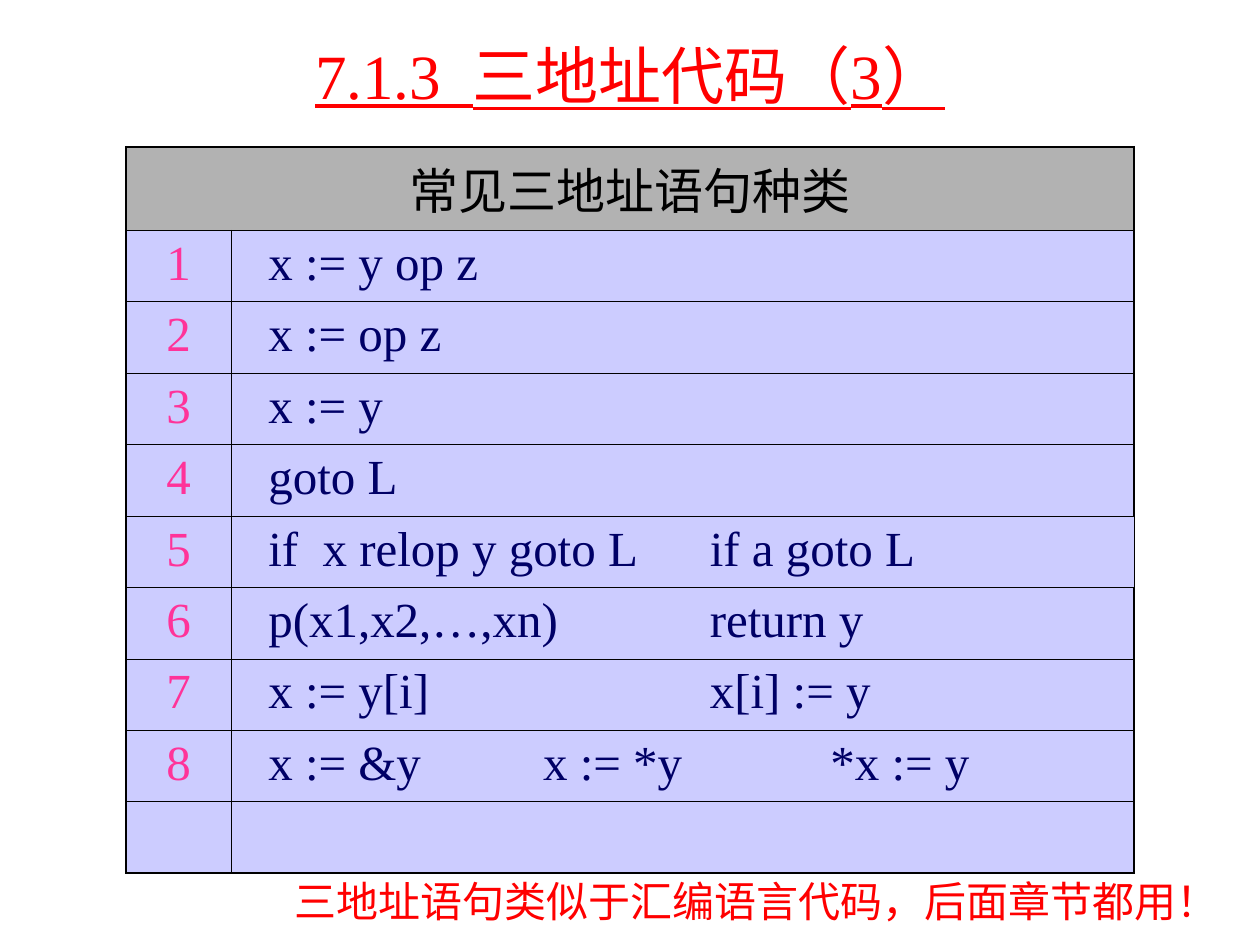
import pptx
import pptx.dml.color
import pptx.enum.text
import pptx.oxml
import pptx.oxml.ns
import pptx.util
from pptx.util import Cm

FONT = "Times New Roman"
ALIGN = pptx.enum.text.PP_ALIGN
RED, BLACK, PINK, NAVY = "FF0000", "000000", "FF3399", "000066"
GREY, LAVENDER = "B2B2B2", "CCCCFF"
THICK, THIN = 1.08, 0.45
ROW_HEIGHT = Cm(1.44)
PAIR_TABS = [Cm(8.9)]
TRIPLE_TABS = [Cm(5.54), Cm(11.33)]
THIN_EDGE_ROW = 5
STATEMENTS = [
    ("x := y op z", []),
    ("x := op z", []),
    ("x := y", []),
    ("goto L", []),
    ("if  x relop y goto L\tif a goto L", PAIR_TABS),
    ("p(x1,x2,…,xn)\treturn y", PAIR_TABS),
    ("x := y[i]\tx[i] := y", PAIR_TABS),
    ("x := &y\tx := *y\t*x := y", TRIPLE_TABS),
]


def rgb(value):
    return pptx.dml.color.RGBColor.from_string(value)


def add_tabs(paragraph, stops):
    tab_list = pptx.oxml.parse_xml(f'<a:tabLst {pptx.oxml.ns.nsdecls("a")}/>')
    for stop in stops:
        tab = tab_list.makeelement(pptx.oxml.ns.qn("a:tab"), {"pos": str(int(stop)), "algn": "l"})
        tab_list.append(tab)
    paragraph._p.get_or_add_pPr().append(tab_list)


def write(frame, text, size, color, align=ALIGN.LEFT, underline=None):
    frame.text = text
    paragraph = frame.paragraphs[0]
    paragraph.alignment = align
    for run in paragraph.runs:
        run.font.name = FONT
        run.font.size = pptx.util.Pt(size)
        run.font.color.rgb = rgb(color)
        run.font.underline = underline
    return paragraph


def write_cell(cell, text, color, align=ALIGN.LEFT, stops=()):
    paragraph = write(cell.text_frame, text, 28, color, align)
    paragraph.space_before = pptx.util.Pt(7)
    if stops:
        add_tabs(paragraph, stops)


def set_border(cell, side, width):
    cell._tc.get_or_add_tcPr().append(pptx.oxml.parse_xml(
        f'<a:ln{side} {pptx.oxml.ns.nsdecls("a")} w="{pptx.util.Pt(width)}">'
        f'<a:solidFill><a:srgbClr val="{BLACK}"/></a:solidFill></a:ln{side}>'))


def style_cells(table):
    last_row, last_column = len(table.rows) - 1, len(table.columns) - 1
    for row in range(last_row + 1):
        for column in range(last_column + 1):
            cell = table.cell(row, column)
            outer = {
                "L": column == 0,
                "R": row == 0 or (column == last_column and row != THIN_EDGE_ROW),
                "T": row == 0,
                "B": row == last_row,
            }
            for side, is_outer in outer.items():
                set_border(cell, side, THICK if is_outer else THIN)
            cell.fill.solid()
            cell.fill.fore_color.rgb = rgb(LAVENDER if row else GREY)


def add_title(slide):
    title = slide.shapes.title
    title.left, title.top, title.width, title.height = Cm(1.91), Cm(0.64), Cm(21.59), Cm(1.7)
    frame = title.text_frame
    frame.auto_size = pptx.enum.text.MSO_AUTO_SIZE.NONE
    frame.vertical_anchor = pptx.enum.text.MSO_ANCHOR.MIDDLE
    write(frame, "7.1.3  三地址代码（3）", 36, RED, ALIGN.CENTER, True)


def add_statement_table(slide):
    row_count = len(STATEMENTS) + 2
    table = slide.shapes.add_table(
        row_count, 2, Cm(2.54), Cm(2.96), Cm(20.32), ROW_HEIGHT * row_count).table
    table.horz_banding = False
    table.first_row = False
    table.columns[0].width = Cm(2.12)
    table.columns[1].width = Cm(18.2)
    style_cells(table)
    table.cell(0, 0).merge(table.cell(0, 1))
    write_cell(table.cell(0, 0), "常见三地址语句种类", BLACK, ALIGN.CENTER)
    for number, (statement, stops) in enumerate(STATEMENTS, 1):
        write_cell(table.cell(number, 0), str(number), PINK, ALIGN.CENTER)
        statement_cell = table.cell(number, 1)
        statement_cell.margin_left = Cm(0.75)
        write_cell(statement_cell, statement, NAVY, stops=stops)


def add_remark(slide):
    remark = slide.shapes.add_textbox(Cm(5.69), Cm(17.53), Cm(19.13), Cm(1.27))
    frame = remark.text_frame
    frame.word_wrap = False
    frame.auto_size = pptx.enum.text.MSO_AUTO_SIZE.SHAPE_TO_FIT_TEXT
    write(frame, "三地址语句类似于汇编语言代码，后面章节都用！", 24, RED)


def main():
    deck = pptx.Presentation()
    deck.slide_width, deck.slide_height = Cm(25.4), Cm(19.05)
    slide = deck.slides.add_slide(deck.slide_layouts[5])
    add_title(slide)
    add_statement_table(slide)
    add_remark(slide)
    deck.save("out.pptx")


if __name__ == "__main__":
    main()
